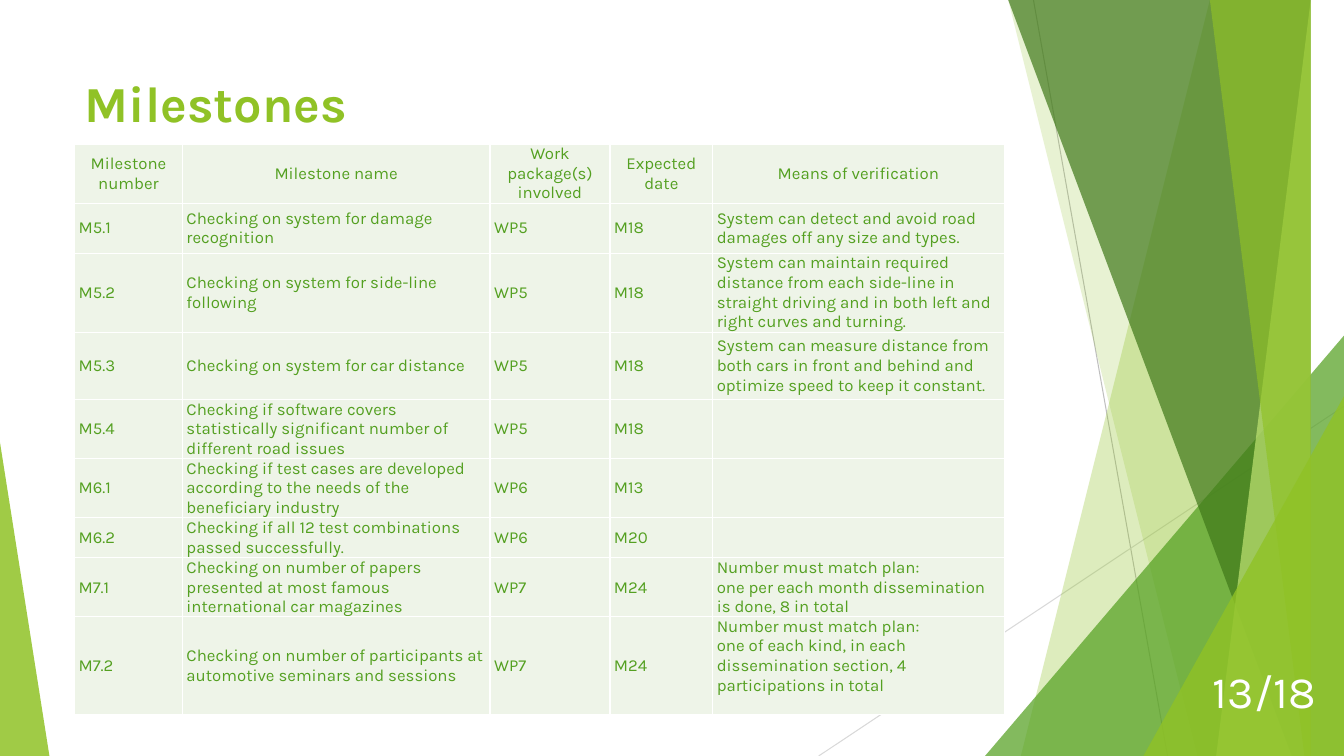
from pptx import Presentation
from pptx.dml.color import RGBColor as RGB
from pptx.enum.shapes import MSO_CONNECTOR as LINK, MSO_SHAPE as SHAPE
from pptx.enum.text import MSO_ANCHOR as ANCHOR, PP_ALIGN as ALIGN
from pptx.oxml.ns import qn
from pptx.util import Inches, Pt
from lxml.etree import SubElement as sub

FONT = "Karla"
WIDE, HIGH = 13.33, 7.5
LIME, GREEN, PINE, PALE = "90C226", "54A021", "3F7819", "C0E474"
MINT, WHITE = "EEF4E8", "FFFFFF"

COLS = [1.07, 3.05, 1.19, 1.02, 2.89]
ROWS = [0.58, 0.5, 0.78, 0.67, 0.58, 0.58, 0.4, 0.58, 0.97]
DATA = [
    ("Milestone number", "Milestone name", "Work package(s) involved",
     "Expected date", "Means of verification"),
    ("M5.1", "Checking on system for damage recognition", "WP5", "M18",
     "System can detect and avoid road damages off any size and types."),
    ("M5.2", "Checking on system for side-line following", "WP5", "M18",
     "System can maintain required distance from each side-line in straight "
     "driving and in both left and right curves and turning."),
    ("M5.3", "Checking on system for car distance", "WP5", "M18",
     "System can measure distance from both cars in front and behind and "
     "optimize speed to keep it constant."),
    ("M5.4", "Checking if software covers statistically significant number of "
     "different road issues", "WP5", "M18", ""),
    ("M6.1", "Checking if test cases are developed according to the needs of "
     "the beneficiary industry", "WP6", "M13", ""),
    ("M6.2", "Checking if all 12 test combinations passed successfully.",
     "WP6", "M20", ""),
    ("M7.1", "Checking on number of papers presented at most famous "
     "international car magazines", "WP7", "M24",
     "Number must match plan:\n"
     "one per each month dissemination is done, 8 in total"),
    ("M7.2", "Checking on number of participants at automotive seminars and "
     "sessions", "WP7", "M24",
     "Number must match plan:\none of each kind, in each dissemination "
     "section, 4 participations in total"),
]


def color(code):
    return RGB.from_string(code)


def write(frame, text, size, code, align=ALIGN.LEFT, bold=False):
    frame.text = text
    for para in frame.paragraphs:
        para.alignment = align
        font = para.font
        font.name, font.size, font.bold = FONT, Pt(size), bold
        font.color.rgb = color(code)


def paint(shape, code, alpha):
    shape.shadow.inherit = False
    shape.line.fill.background()
    shape.fill.solid()
    shape.fill.fore_color.rgb = color(code)
    tone = shape.fill._xPr.find(qn("a:solidFill"))[0]
    sub(tone, qn("a:alpha"), val=str(alpha * 1000))


def rule(slide, start, end, code):
    ends = [Inches(n) for n in (*start, *end)]
    line = slide.shapes.add_connector(LINK.STRAIGHT, *ends)
    line.line.color.rgb = color(code)
    line.line.width = Pt(0.75)
    sub(line._element.spPr, qn("a:effectLst"))


def shard(slide, top, base, code, alpha):
    """Band from a slanted left side to the right slide edge."""
    pen = slide.shapes.build_freeform(top, -0.01, scale=Inches(1))
    pen.add_line_segments([(WIDE, -0.01), (WIDE, HIGH), (base, HIGH)], close=True)
    paint(pen.convert_to_shape(), code, alpha)


def wedge(slide, left, top, wide, tip, code, alpha):
    """Triangle standing on the bottom slide edge."""
    box = [Inches(n) for n in (left, top, wide, HIGH - top)]
    shape = slide.shapes.add_shape(SHAPE.ISOSCELES_TRIANGLE, *box)
    shape.adjustments[0] = tip
    paint(shape, code, alpha)


def decor(slide):
    rule(slide, (10.25, 0), (11.58, HIGH), "BFBFBF")
    rule(slide, (WIDE, 4.03), (8.12, HIGH), "D9D9D9")
    shard(slide, 12.28, 10.04, LIME, 30)
    shard(slide, 10.5, 11.83, LIME, 20)
    wedge(slide, 9.77, 3.33, 3.56, 1, GREEN, 72)
    shard(slide, 10.21, 12.91, PINE, 70)
    shard(slide, 13.03, 11.92, PALE, 70)
    shard(slide, 11.96, 13.18, LIME, 65)
    wedge(slide, 11.34, 3.93, 1.99, 1, LIME, 80)
    wedge(slide, 0, 4.39, 0.49, 0, LIME, 85)


def title(slide, text, left, top, wide, high):
    head = slide.shapes.title
    head.left, head.top = Inches(left), Inches(top)
    head.width, head.height = Inches(wide), Inches(high)
    write(head.text_frame, text, 36, LIME, bold=True)
    head.text_frame.vertical_anchor = ANCHOR.TOP


def border(cell):
    props = cell._tc.get_or_add_tcPr()
    for spot, side in enumerate(("lnL", "lnR", "lnT", "lnB")):
        edge = sub(props, qn("a:" + side), w=str(Pt(1)))
        sub(sub(edge, qn("a:solidFill")), qn("a:srgbClr"), val=WHITE)
        props.insert(spot, edge)


def grid(slide, left, top):
    box = [Inches(n) for n in (left, top, sum(COLS), sum(ROWS))]
    table = slide.shapes.add_table(len(ROWS), len(COLS), *box).table
    table.first_row = table.horz_banding = False
    for col, wide in zip(table.columns, COLS):
        col.width = Inches(wide)
    for r, (row, high) in enumerate(zip(table.rows, ROWS)):
        row.height = Inches(high)
        for cell, text in zip(row.cells, DATA[r]):
            cell.margin_left = cell.margin_right = Inches(0.04)
            cell.margin_top = cell.margin_bottom = 0
            cell.vertical_anchor = ANCHOR.MIDDLE
            cell.fill.solid()
            cell.fill.fore_color.rgb = color(MINT)
            border(cell)
            write(cell.text_frame, text, 12, GREEN,
                  ALIGN.LEFT if r else ALIGN.CENTER)
    # The last note sits above the middle of its cell
    table.cell(len(ROWS) - 1, len(COLS) - 1).margin_bottom = Inches(0.19)


def number(slide, text, left, top, wide, high):
    box = [Inches(n) for n in (left, top, wide, high)]
    frame = slide.shapes.add_textbox(*box).text_frame
    frame.word_wrap = True
    frame.vertical_anchor = ANCHOR.MIDDLE
    write(frame, text, 32, WHITE, ALIGN.RIGHT)


deck = Presentation()
deck.slide_width, deck.slide_height = Inches(WIDE), Inches(HIGH)
page = deck.slides.add_slide(deck.slide_layouts[5])
decor(page)
title(page, "Milestones", 0.74, 0.67, 9.4, 1.44)
grid(page, 0.74, 1.43)
number(page, "13/18", 11.4, 6.49, 1.75, 0.73)
deck.save("out.pptx")
